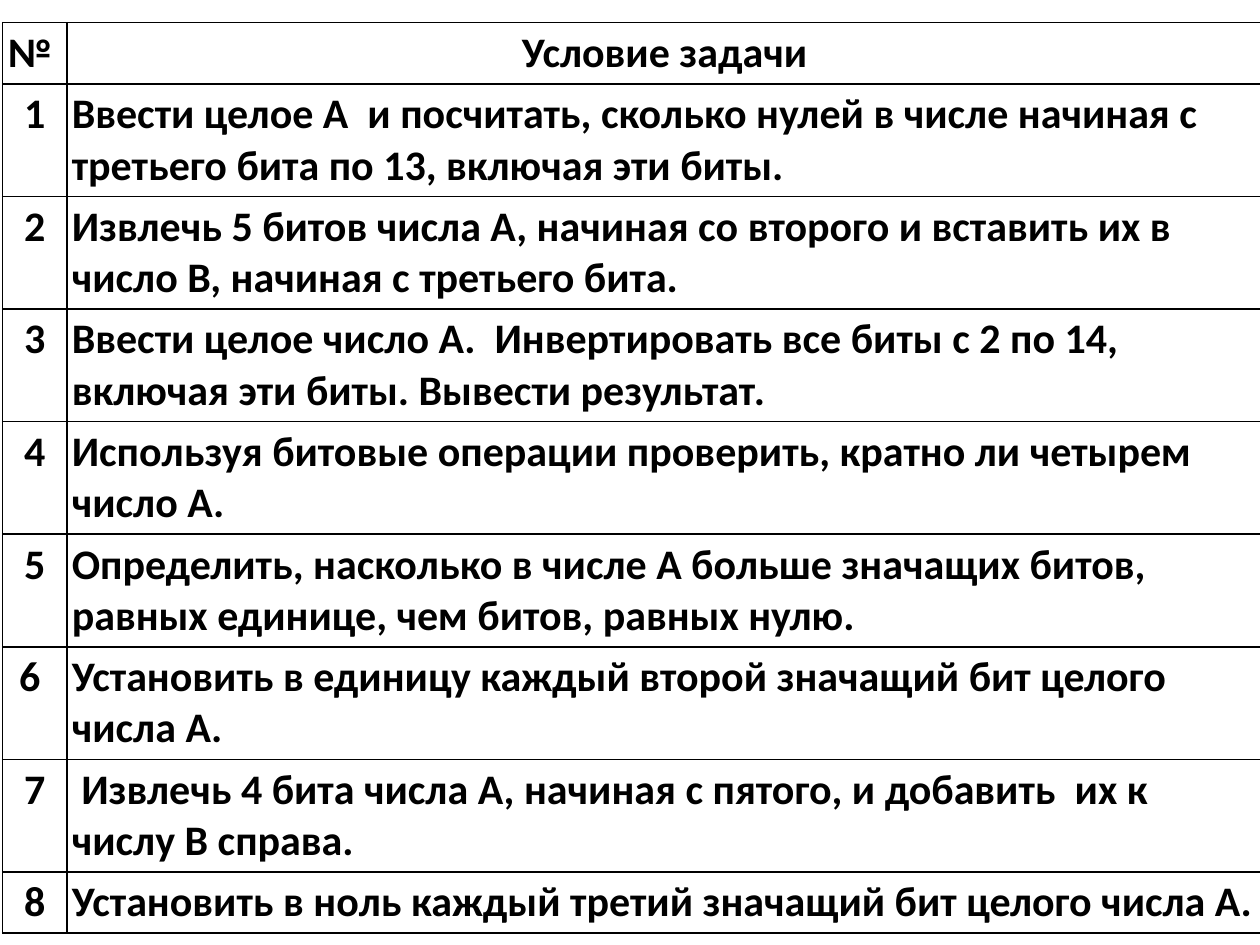
from typing import NamedTuple

from lxml.etree import SubElement
from pptx import Presentation
from pptx.dml.color import RGBColor
from pptx.enum.text import PP_ALIGN
from pptx.oxml.ns import qn
from pptx.table import _Cell
from pptx.util import Inches, Pt

INK = "000000"
PAPER = "FFFFFF"
CELL_MARGIN = Inches(0.04)
ONE_LINE = Inches(0.48)
TWO_LINES = Inches(0.89)


class Row(NamedTuple):
    number: str
    condition: str
    height: int = TWO_LINES
    condition_align: PP_ALIGN = PP_ALIGN.LEFT


ROWS = [
    Row("№ ", "Условие задачи", ONE_LINE, PP_ALIGN.CENTER),
    Row("1", "Ввести целое A  и посчитать, сколько нулей в числе начиная с третьего бита по 13, включая эти биты."),
    Row("2", "Извлечь 5 битов числа A, начиная со второго и вставить их в число B, начиная с третьего бита."),
    Row("3", "Ввести целое число A.  Инвертировать все биты с 2 по 14, включая эти биты. Вывести результат."),
    Row("4", "Используя битовые операции проверить, кратно ли четырем число А."),
    Row("5", "Определить, насколько в числе А больше значащих битов, равных единице, чем битов, равных нулю."),
    Row("6 ", "Установить в единицу каждый второй значащий бит целого числа А."),
    Row("7", " Извлечь 4 бита числа A, начиная с пятого, и добавить  их к числу B справа."),
    Row("8", "Установить в ноль каждый третий значащий бит целого числа А.", ONE_LINE),
]


def color(value: str) -> RGBColor:
    return RGBColor.from_string(value)


def add_borders(cell: _Cell) -> None:
    properties = cell._tc.get_or_add_tcPr()
    # The schema wants the border lines ahead of the fill.
    for position, side in enumerate(("a:lnL", "a:lnR", "a:lnT", "a:lnB")):
        border = SubElement(properties, qn(side), w=str(Pt(1)))
        fill = SubElement(border, qn("a:solidFill"))
        SubElement(fill, qn("a:srgbClr"), val=INK)
        properties.insert(position, border)


def write_cell(cell: _Cell, wording: str, align: PP_ALIGN) -> None:
    cell.margin_left = cell.margin_right = CELL_MARGIN
    cell.margin_top = cell.margin_bottom = CELL_MARGIN
    cell.fill.solid()
    cell.fill.fore_color.rgb = color(PAPER)
    add_borders(cell)

    paragraph = cell.text_frame.paragraphs[0]
    paragraph.text = wording
    paragraph.alignment = align
    font = paragraph.runs[0].font
    font.name = "Calibri"
    font.size = Pt(24)
    font.bold = True
    font.color.rgb = color(INK)


def main() -> None:
    presentation = Presentation()
    presentation.slide_width = Inches(10)
    presentation.slide_height = Inches(7.5)
    slide = presentation.slides.add_slide(presentation.slide_layouts[6])

    total_height = sum(row.height for row in ROWS)
    tasks = slide.shapes.add_table(
        len(ROWS), 2, Inches(0.02), Inches(0.18), Inches(10), total_height
    ).table
    tasks.columns[0].width = Inches(0.51)
    tasks.columns[1].width = Inches(9.49)

    for index, row in enumerate(ROWS):
        tasks.rows[index].height = row.height
        write_cell(tasks.cell(index, 0), row.number, PP_ALIGN.CENTER)
        write_cell(tasks.cell(index, 1), row.condition, row.condition_align)

    presentation.save("out.pptx")


if __name__ == "__main__":
    main()
